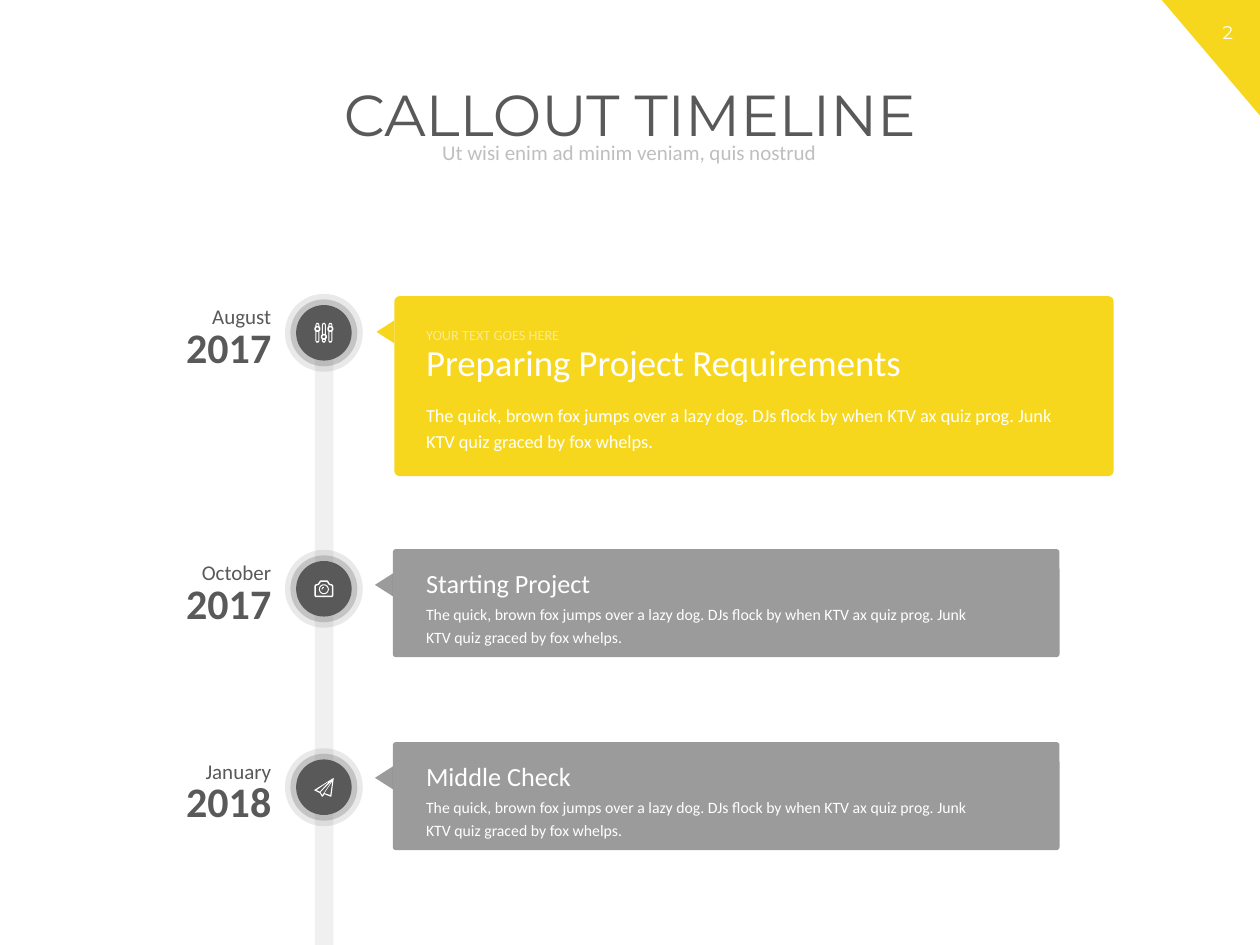
import math
from dataclasses import dataclass

from lxml import etree
from pptx import Presentation
from pptx import util as u
from pptx.dml.color import RGBColor
from pptx.enum import shapes, text
from pptx.oxml import ns

YELLOW, DARK, PALE, WHITE = "F6D71E", "595959", "BFBFBF", "FFFFFF"
BODY_FONT, TITLE_FONT = "Calibri", "Montserrat"
AXIS = 6.53  # centre of the timeline, in cm
COPY = ("The quick, brown fox jumps over a lazy dog. DJs flock by when KTV ax quiz prog. "
        "Junk KTV quiz graced by fox whelps.")

Contour = list[tuple[float, float]]
Icon = list[list[Contour]]  # separate outlines, each an edge followed by its holes


@dataclass
class Line:
    text: str
    top: float  # below the top of its callout
    width: float
    height: float
    size: float
    spacing: float = 1
    opacity: int = 100


@dataclass
class Milestone:
    month: str
    year: str
    centre: float
    left: float
    top: float
    width: float
    height: float
    color: str
    opacity: int
    lines: list[Line]
    icon: Icon


# Colour and text helpers
def paint(fill, owner, color: str, opacity: int = 100) -> None:
    fill.solid()
    fill.fore_color.rgb = RGBColor.from_string(color)
    if opacity < 100:
        tone = owner.xpath(".//a:srgbClr")[0]
        etree.SubElement(tone, ns.qn("a:alpha")).set("val", str(opacity * 1000))


def write(box, words: str, size: float, color: str, align=text.PP_ALIGN.LEFT,
          spacing: float = 1, font: str = BODY_FONT, bold: bool = False,
          opacity: int = 100) -> None:
    box.text_frame.text = words
    para = box.text_frame.paragraphs[0]
    para.alignment = align
    para.line_spacing = spacing
    para.space_before = u.Pt(0)
    span = para.runs[0]
    span.font.name, span.font.size, span.font.bold = font, u.Pt(size), bold
    paint(span.font.fill, span._r, color, opacity)


def add_text(page, left: float, top: float, width: float, height: float,
             words: str, size: float, color: str, **style) -> None:
    box = page.shapes.add_textbox(u.Cm(left), u.Cm(top), u.Cm(width), u.Cm(height))
    box.text_frame.word_wrap = True
    box.text_frame.auto_size = text.MSO_AUTO_SIZE.SHAPE_TO_FIT_TEXT
    write(box, words, size, color, **style)


def fill_placeholder(box, left: float, top: float, width: float, height: float,
                     anchor, words: str, size: float, color: str, font: str) -> None:
    box.left, box.top, box.width, box.height = map(u.Cm, (left, top, width, height))
    box.text_frame.auto_size = text.MSO_AUTO_SIZE.NONE
    box.text_frame.vertical_anchor = anchor
    write(box, words, size, color, text.PP_ALIGN.CENTER, 0.9, font)


# Shape helpers
def finish(shape, color: str, opacity: int = 100) -> None:
    shape.shadow.inherit = False
    shape.line.fill.background()
    paint(shape.fill, shape._element, color, opacity)


def add_shape(page, kind, left: float, top: float, width: float, height: float,
              color: str, opacity: int = 100):
    shape = page.shapes.add_shape(kind, u.Cm(left), u.Cm(top), u.Cm(width), u.Cm(height))
    finish(shape, color, opacity)
    return shape


def add_outline(page, x: float, y: float, contours: list[Contour]) -> None:
    placed = [[(u.Cm(x + dx), u.Cm(y + dy)) for dx, dy in contour] for contour in contours]
    builder = page.shapes.build_freeform(*placed[0][0], scale=1.0)
    for number, points in enumerate(placed):
        if number:
            builder.move_to(*points[0])
        builder.add_line_segments(points[1:], close=True)
    finish(builder.convert_to_shape(), WHITE)


# Icon outlines, in cm from the centre of the badge
def circle(radius: float, x: float = 0, y: float = 0) -> Contour:
    angles = [math.tau * step / 24 for step in range(24)]
    return [(x + radius * math.cos(a), y + radius * math.sin(a)) for a in angles]


def mirrored(right: Contour, x: float = 0) -> Contour:
    return [(x + dx, y) for dx, y in right] + [(x - dx, y) for dx, y in reversed(right)]


def slider(x: float, knob: float) -> list[Contour]:
    edge = [(0.02, -0.2), (0.04, -0.16), (0.04, knob - 0.05), (0.06, knob - 0.02),
            (0.06, knob + 0.02), (0.04, knob + 0.05), (0.04, 0.16), (0.02, 0.2)]
    slots = [(-0.17, knob - 0.06), (knob + 0.06, 0.17)]
    return [mirrored(edge, x), circle(0.03, x, knob),
            *(mirrored([(0.02, start), (0.02, end)], x) for start, end in slots)]


SLIDERS = [slider(-0.13, -0.08), slider(0, 0.08), slider(0.13, -0.08)]
CAMERA = [
    [mirrored([(0.07, -0.17), (0.09, -0.15), (0.12, -0.1), (0.17, -0.09), (0.19, -0.06),
               (0.19, 0.14), (0.17, 0.17)]),
     mirrored([(0.06, -0.14), (0.1, -0.08), (0.16, -0.06), (0.16, 0.14)])],
    [circle(0.1, 0, 0.01), circle(0.08, 0, 0.01)],
    [[(-0.05, 0.01), (-0.03, -0.03), (0, -0.04), (0, -0.02), (-0.02, -0.01), (-0.03, 0.01)]],
]
PLANE = [[
    [(0.2, -0.19), (-0.2, 0.06), (-0.08, 0.12), (-0.04, 0.19), (-0.02, 0.19),
     (0.01, 0.14), (0.13, 0.19), (0.15, 0.19)],
    [(0.13, 0.16), (0.01, 0.12), (0.17, -0.12)],
    [(-0.07, 0.1), (0.17, -0.14), (-0.03, 0.16)],
    [(-0.15, 0.06), (0.12, -0.13), (-0.08, 0.09)],
]]


def short_lines(title: str) -> list[Line]:
    return [Line(COPY, 0.93, 11.73, 1.17, 9, 1.2), Line(title, 0.25, 13.36, 0.89, 15)]


FEATURE_LINES = [
    Line(COPY, 1.96, 13.72, 1.35, 10.5, 1.2),
    Line("Preparing Project Requirements", 0.76, 13.36, 1.14, 21),
    Line("YOUR TEXT GOES HERE", 0.41, 13.72, 0.69, 8.2, 1.2, 50),
]
MILESTONES = [
    Milestone("August", "2017", 6.71, 7.95, 5.97, 14.5, 3.63, YELLOW, 100,
              FEATURE_LINES, SLIDERS),
    Milestone("October", "2017", 11.87, 7.92, 11.07, 13.44, 2.18, DARK, 60,
              short_lines("Starting Project"), CAMERA),
    Milestone("January", "2018", 15.87, 7.92, 14.96, 13.44, 2.18, DARK, 60,
              short_lines("Middle Check"), PLANE),
]


# Parts of a milestone
def draw_date(page, item: Milestone) -> None:
    right = text.PP_ALIGN.RIGHT
    add_text(page, 2.41, item.centre - 0.36, 3.31, 1.27, item.year, 24, DARK,
             align=right, bold=True)
    add_text(page, 2.71, item.centre - 0.81, 3.01, 0.86, item.month, 12, DARK,
             align=right, spacing=1.2)


def draw_callout(page, item: Milestone) -> None:
    kinds = shapes.MSO_SHAPE
    card = add_shape(page, kinds.ROUNDED_RECTANGLE, item.left, item.top,
                     item.width, item.height, item.color, item.opacity)
    card.adjustments[0] = 0.03
    base, depth = 0.46, 0.36
    pointer = add_shape(page, kinds.ISOSCELES_TRIANGLE, item.left - (depth + base) / 2,
                        item.top + 0.72 - depth / 2, base, depth, item.color, item.opacity)
    pointer.rotation = 270
    for line in item.lines:
        add_text(page, 8.34, item.top + line.top, line.width, line.height, line.text,
                 line.size, WHITE, spacing=line.spacing, opacity=line.opacity)


def draw_badge(page, item: Milestone) -> None:
    for size, opacity in ((1.57, 13), (1.35, 25), (1.12, 100)):
        add_shape(page, shapes.MSO_SHAPE.OVAL, AXIS - size / 2, item.centre - size / 2,
                  size, size, DARK, opacity)
    for contours in item.icon:
        add_outline(page, AXIS, item.centre, contours)


def main() -> None:
    deck = Presentation()
    deck.slide_width, deck.slide_height = u.Cm(25.4), u.Cm(19.05)
    page = deck.slides.add_slide(deck.slide_layouts.get_by_name("Section Header"))
    for spare in list(page.placeholders)[2:]:
        spare._element.getparent().remove(spare._element)

    # Page number in the corner
    corner = add_shape(page, shapes.MSO_SHAPE.RIGHT_TRIANGLE, 23.42, 0, 1.98, 2.33, YELLOW)
    corner.rotation = 180
    add_text(page, 24.1, 0.3, 1.3, 0.7, "2", 10.5, WHITE,
             align=text.PP_ALIGN.CENTER, font=TITLE_FONT)

    # Heading
    fill_placeholder(page.shapes.title, 1.45, 1.62, 22.5, 1.85, text.MSO_ANCHOR.TOP,
                     "CALLOUT TIMELINE", 33, DARK, TITLE_FONT)
    fill_placeholder(page.placeholders[1], 3.53, 2.77, 18.31, 0.66, text.MSO_ANCHOR.MIDDLE,
                     "Ut wisi enim ad minim veniam, quis nostrud", 12, PALE, BODY_FONT)

    # Timeline
    add_shape(page, shapes.MSO_SHAPE.RECTANGLE, AXIS - 0.18, 6.4, 0.37, 12.65, DARK, 9)
    for draw in (draw_date, draw_callout, draw_badge):
        for item in MILESTONES:
            draw(page, item)
    deck.save("out.pptx")


if __name__ == "__main__":
    main()
